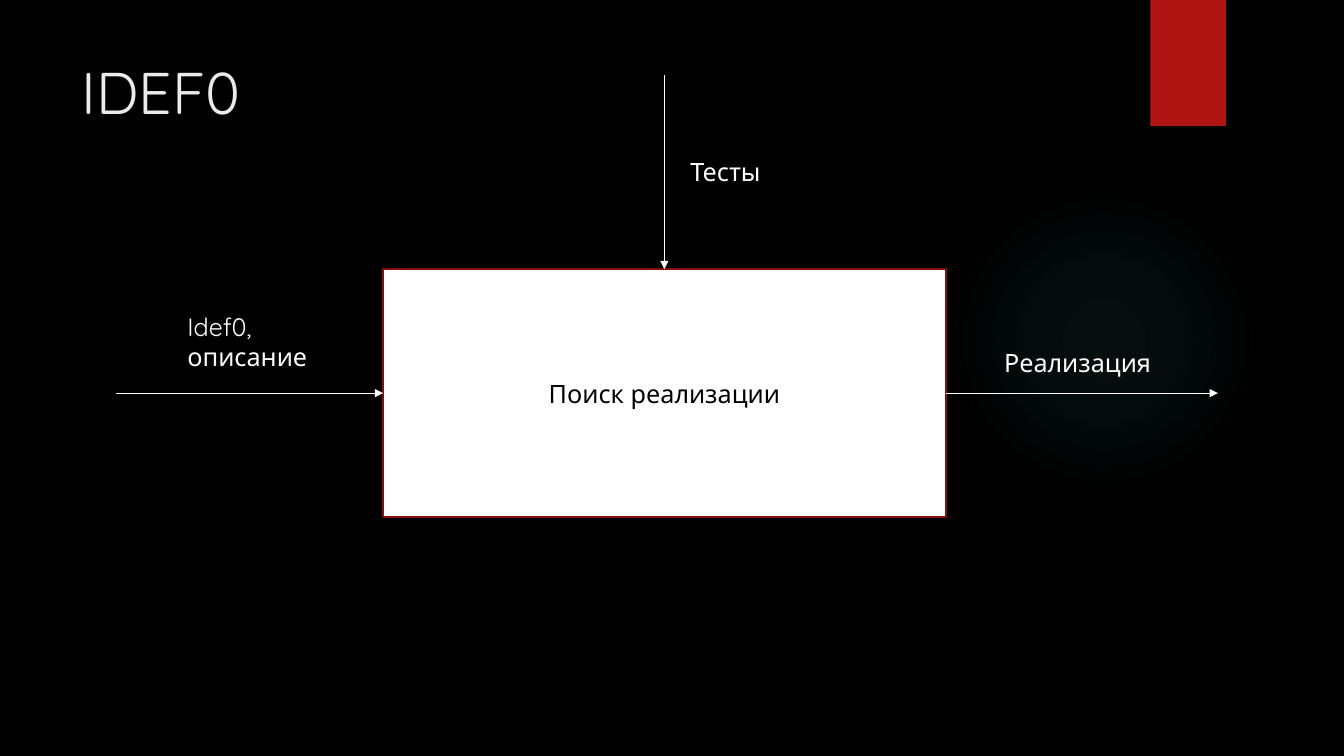
from collections import namedtuple

from pptx import Presentation
from pptx.dml.color import RGBColor
from pptx.enum.shapes import MSO_CONNECTOR, MSO_SHAPE
from pptx.enum.text import MSO_ANCHOR, MSO_AUTO_SIZE, PP_ALIGN
from pptx.oxml import parse_xml
from pptx.oxml.ns import nsdecls, qn
from pptx.util import Inches, Pt

FONT = "Quicksand"
WHITE, BLACK, RED, DARK_RED = "FFFFFF", "000000", "B01513", "82100E"
TITLE_GREY, GLOW = "EBEBEB", "50B9C1"

# Lengths are columns and rows of a square grid, ten to the inch.
Box = namedtuple("Box", "left top width height")


def grid(*cells):
    """Turn grid columns or rows into slide lengths."""
    return [Inches(cell / 10) for cell in cells]


def colour(value):
    """Make a colour from a hex string."""
    return RGBColor.from_string(value)


def add_element(parent, xml):
    """Append a drawing element written as XML."""
    parent.append(parse_xml(xml.replace(">", f" {nsdecls('a')}>", 1)))


def write(frame, text, size=18, ink=WHITE, align=PP_ALIGN.LEFT, anchor=MSO_ANCHOR.TOP):
    """Write one run of text into a wrapping frame."""
    frame.word_wrap = True
    frame.vertical_anchor = anchor
    para = frame.paragraphs[0]
    para.alignment = align
    span = para.add_run()
    span.text = text
    span.font.name, span.font.size = FONT, Pt(size)
    span.font.color.rgb = colour(ink)


def add_block(page, kind, box, fill=None, line=None):
    """Place a flat shape, outlined only when a line colour is given."""
    shape = page.shapes.add_shape(kind, *grid(*box))
    shape.shadow.inherit = False
    if fill:
        shape.fill.solid()
        shape.fill.fore_color.rgb = colour(fill)
    if line:
        shape.line.color.rgb = colour(line)
        shape.line.width = Pt(1.5)
    else:
        shape.line.fill.background()
    return shape


def add_arrow(page, start, end):
    """Draw a thin white arrow between two grid points."""
    arrow = page.shapes.add_connector(MSO_CONNECTOR.STRAIGHT, *grid(*start, *end))
    arrow.line.color.rgb = colour(WHITE)
    arrow.line.width = Pt(0.75)
    add_element(arrow.line._get_or_add_ln(), '<a:tailEnd type="triangle"></a:tailEnd>')
    add_element(arrow._element.spPr, "<a:effectLst></a:effectLst>")


def add_label(page, text, box):
    """Add the caption of an arrow."""
    frame = page.shapes.add_textbox(*grid(*box)).text_frame
    write(frame, text)
    frame.auto_size = MSO_AUTO_SIZE.SHAPE_TO_FIT_TEXT


def add_glow(page, box):
    """Add the faint round glow that fades outwards."""
    glow = add_block(page, MSO_SHAPE.OVAL, box)
    glow.fill.gradient()
    gradient = glow._element.spPr.find(qn("a:gradFill"))
    for child in list(gradient):
        gradient.remove(child)
    stops = "".join(
        f'<a:gs pos="{place * 1000}"><a:srgbClr val="{GLOW}">'
        f'<a:alpha val="{alpha * 1000}"/></a:srgbClr></a:gs>'
        for place, alpha in ((0, 7), (36, 6), (69, 0))
    )
    add_element(gradient, f"<a:gsLst>{stops}</a:gsLst>")
    add_element(
        gradient,
        '<a:path path="circle"><a:fillToRect l="50000" t="50000" r="50000" b="50000"/></a:path>',
    )


def add_ribbon(page, box):
    """Add the red ribbon with its soft shadow below."""
    ribbon = add_block(page, MSO_SHAPE.RECTANGLE, box, RED)
    add_element(
        ribbon._element.spPr.find(qn("a:effectLst")),
        f'<a:outerShdw blurRad="{Pt(3)}" dist="{Pt(2)}" dir="5400000" rotWithShape="0">'
        f'<a:srgbClr val="{BLACK}"><a:alpha val="45000"/></a:srgbClr></a:outerShdw>',
    )


def add_title(page, text, box):
    """Move and format the title placeholder."""
    title = page.shapes.title
    title.left, title.top, title.width, title.height = grid(*box)
    write(title.text_frame, text, 42, TITLE_GREY)


def add_diagram(page, box):
    """Draw the process box with its input, control and output arrows."""
    process = add_block(page, MSO_SHAPE.RECTANGLE, box, WHITE, DARK_RED)
    write(process.text_frame, "Поиск реализации", ink=BLACK,
          align=PP_ALIGN.CENTER, anchor=MSO_ANCHOR.MIDDLE)
    right = box.left + box.width
    centre, middle = box.left + box.width / 2, box.top + box.height / 2
    label_width = 20.4
    add_arrow(page, (box.left - 26.5, middle), (box.left, middle))
    add_label(page, "Idef0, описание",
              Box(box.left - label_width, middle - 8.6, label_width, 7.1))
    add_arrow(page, (centre, box.top - 19.3), (centre, box.top))
    add_label(page, "Тесты", Box(centre + 1.6, box.top - 11.7, label_width, 4))
    add_arrow(page, (right, middle), (right + 27, middle))
    add_label(page, "Реализация", Box(right + 4.8, middle - 5, label_width, 4))


def add_idef0_slide(deck):
    """Build the IDEF0 slide on the title-only layout."""
    page = deck.slides.add_slide(deck.slide_layouts[5])
    page.background.fill.solid()
    page.background.fill.fore_color.rgb = colour(BLACK)
    add_glow(page, Box(94.1, 18.3, 30.8, 30.8))
    add_ribbon(page, Box(114.1, 0, 7.5, 12.5))
    add_title(page, "IDEF0", Box(7.1, 5, 102.9, 15.3))
    add_diagram(page, Box(38, 26.7, 55.8, 24.6))


deck = Presentation()
deck.slide_width, deck.slide_height = Inches(13.33), Inches(7.5)
add_idef0_slide(deck)
deck.save("out.pptx")
